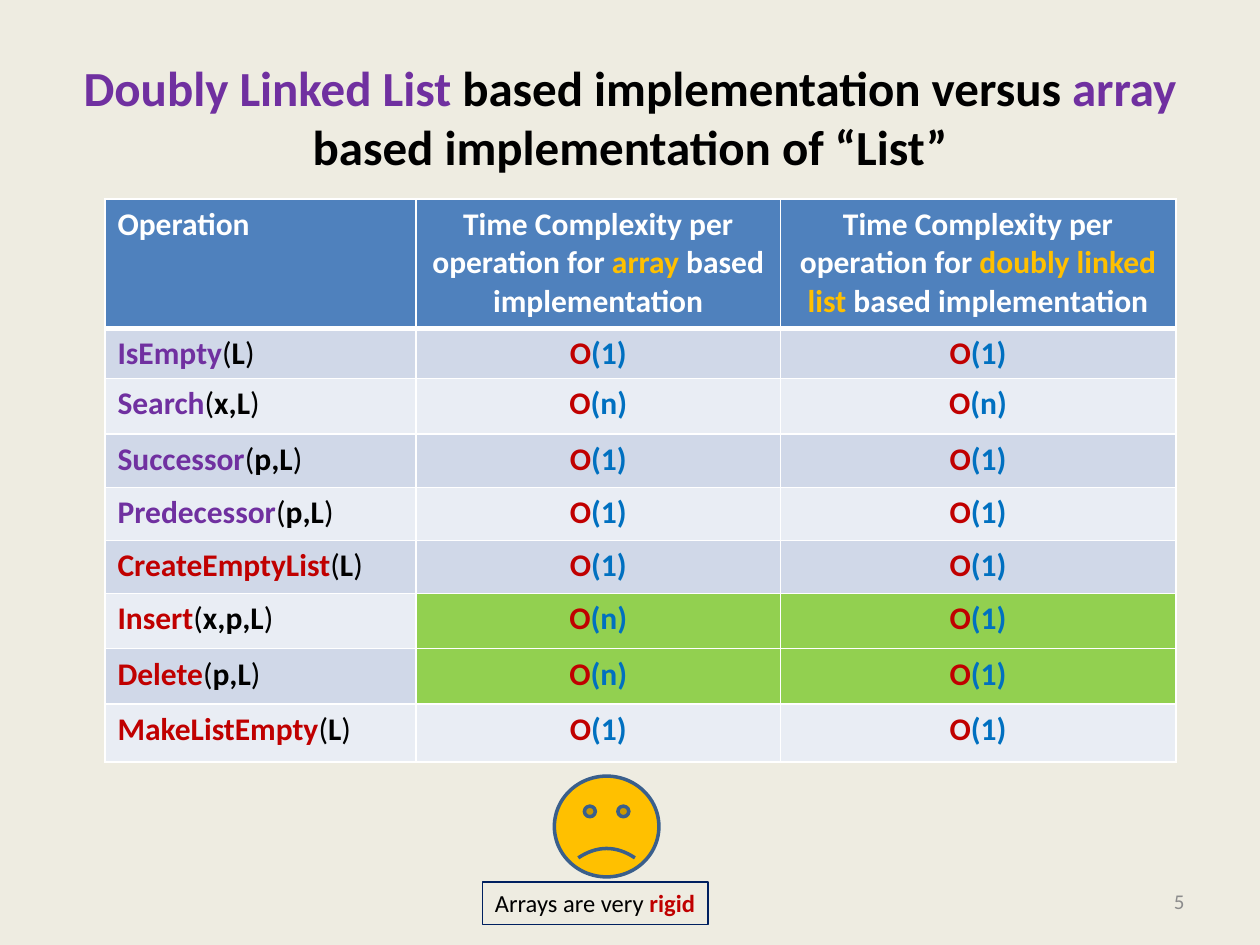
import pptx
import pptx.util
import pptx.dml.color
import pptx.enum.shapes
import pptx.enum.text
import pptx.oxml
import pptx.oxml.ns

COLORS = {
    "paper": "EEECE1", "black": "000000", "white": "FFFFFF", "purple": "7030A0",
    "red": "C00000", "blue": "0070C0", "gold": "FFC000", "header": "4F81BD",
    "band_dark": "D0D8E8", "band_light": "E9EDF4", "green": "92D050",
    "gray": "8C8C8C", "outline": "3A5F8C", "navy": "002060",
}
ALIGN = pptx.enum.text.PP_ALIGN
ANCHOR = pptx.enum.text.MSO_ANCHOR
SHAPE = pptx.enum.shapes.MSO_SHAPE


def color(name):
    return pptx.dml.color.RGBColor.from_string(COLORS[name])


class SlideBuilder:
    font = "Calibri"
    columns, rows = 100, 75

    def __init__(self, deck):
        self.unit = deck.slide_width / self.columns
        self.page = deck.slides.add_slide(deck.slide_layouts[6])
        self.page.background.fill.solid()
        self.page.background.fill.fore_color.rgb = color("paper")

    def span(self, count):
        return round(count * self.unit)

    def place(self, *area):
        return [self.span(length) for length in area]

    def fill_text(self, frame, spans, size, align=ALIGN.LEFT, bold=None):
        para = frame.paragraphs[0]
        para.alignment = align
        para.font.name = self.font
        para.font.size = pptx.util.Pt(size)
        para.font.bold = bold
        for text, tint, *weight in spans:
            span = para.add_run()
            span.text = text
            span.font.color.rgb = color(tint)
            if weight:
                span.font.bold = weight[0]

    def text(self, area, spans, size, align, bold=None):
        box = self.page.shapes.add_textbox(*self.place(*area))
        box.text_frame.word_wrap = True
        box.text_frame.vertical_anchor = ANCHOR.MIDDLE
        self.fill_text(box.text_frame, spans, size, align, bold)
        return box

    def shape(self, kind, area, line, width, fill=None):
        shape = self.page.shapes.add_shape(kind, *self.place(*area))
        shape.shadow.inherit = False
        if fill:
            shape.fill.solid()
            shape.fill.fore_color.rgb = color(fill)
        else:
            shape.fill.background()
        shape.line.color.rgb = color(line)
        shape.line.width = pptx.util.Pt(width)
        return shape

    def borders(self, cell, **widths):
        properties = cell._tc.get_or_add_tcPr()
        for position, side in enumerate("LRTB"):
            width = pptx.util.Pt(widths.get(side, 1))
            properties.insert(position, pptx.oxml.parse_xml(
                f'<a:ln{side} {pptx.oxml.ns.nsdecls("a")} w="{width}"><a:solidFill>'
                f'<a:srgbClr val="{COLORS["white"]}"/></a:solidFill></a:ln{side}>'))

    def table(self, left, top, widths, heights, content):
        area = self.place(left, top, sum(widths), sum(heights))
        table = self.page.shapes.add_table(len(heights), len(widths), *area).table
        for column, width in zip(table.columns, widths):
            column.width = self.span(width)
        for row, height in zip(table.rows, heights):
            row.height = self.span(height)
        for r, line in enumerate(content):
            for c, (spans, fill) in enumerate(line):
                cell = table.cell(r, c)
                cell.fill.solid()
                cell.fill.fore_color.rgb = color(fill)
                self.borders(cell, **{"B": 3} if r == 0 else {"T": 3} if r == 1 else {})
                align = ALIGN.CENTER if c else ALIGN.LEFT
                self.fill_text(cell.text_frame, spans, 18, align, True)


OPERATIONS = [
    ("IsEmpty", "L", "1", "1"),
    ("Search", "x,L", "n", "n"),
    ("Successor", "p,L", "1", "1"),
    ("Predecessor", "p,L", "1", "1"),
    ("CreateEmptyList", "L", "1", "1"),
    ("Insert", "x,p,L", "n", "1"),
    ("Delete", "p,L", "n", "1"),
    ("MakeListEmpty", "L", "1", "1"),
]
QUERY_COUNT = 4


def header_row():
    row = [([("Operation", "white")], "header")]
    for structure in ("array", "doubly linked list"):
        row.append(([("Time Complexity per operation for ", "white"),
                     (structure, "gold"),
                     (" based implementation", "white")], "header"))
    return row


def operation_row(index, name, arguments, *costs):
    band = "band_light" if index % 2 else "band_dark"
    cost_fill = band if len(set(costs)) == 1 else "green"
    tint = "purple" if index < QUERY_COUNT else "red"
    signature = [(name, tint), ("(", "black", False),
                 (arguments, "black"), (")", "black", False)]
    return [(signature, band)] + [
        ([("O", "red"), (f"({cost})", "blue")], cost_fill) for cost in costs]


def main():
    deck = pptx.Presentation()
    deck.slide_width = pptx.util.Inches(10)
    deck.slide_height = pptx.util.Inches(7.5)
    slide = SlideBuilder(deck)

    slide.text((5, 3, 90, 12.5), [
        ("Doubly Linked List ", "purple"),
        ("based implementation versus ", "black"),
        ("array", "purple"),
        (" based implementation of “List”", "black"),
    ], 28, ALIGN.CENTER, True)

    content = [header_row()] + [
        operation_row(index, *operation) for index, operation in enumerate(OPERATIONS)]
    slide.table(8.33, 15.8, [24.7, 28.9, 31.4],
                [10.25, 3.9, 4.4, 4.25, 4.2, 4.2, 4.4, 4.4, 4.6], content)

    slide.text((71.7, 69.5, 23.3, 4), [("5", "gray")], 12, ALIGN.RIGHT)

    face = slide.shape(SHAPE.SMILEY_FACE, (44, 61.6, 8.3, 8), "outline", 2, "gold")
    face.adjustments[0] = -0.047

    caption = slide.shape(SHAPE.RECTANGLE, (38.3, 70, 17.9, 3.4), "navy", 0.75)
    caption.text_frame.word_wrap = False
    caption.text_frame.vertical_anchor = ANCHOR.TOP
    slide.fill_text(caption.text_frame,
                    [("Arrays are very ", "black"), ("rigid", "red", True)], 14)

    deck.save("out.pptx")


if __name__ == "__main__":
    main()
